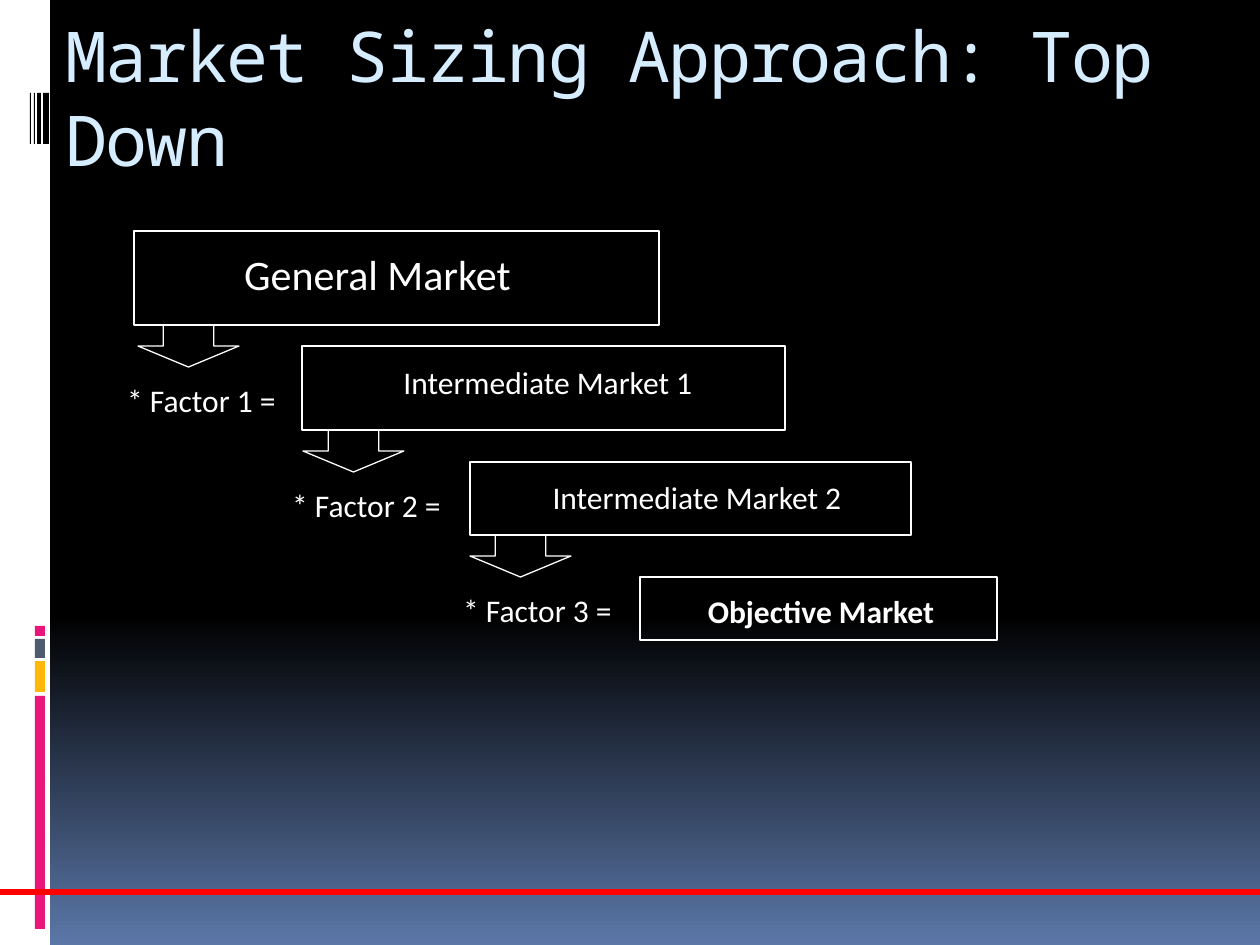
from pptx import Presentation
from pptx.dml.color import RGBColor as RGB
from pptx.enum.shapes import MSO_CONNECTOR as CONN, MSO_SHAPE as SHAPE
from pptx.enum.text import MSO_AUTO_SIZE as FIT, PP_ALIGN as ALIGN
from pptx.oxml.ns import qn
from pptx.util import Pt
from lxml import etree

PX = 914400 / 126
THEME = {
    "white": "FFFFFF", "black": "000000", "dusk": "5B77A8", "title": "D6ECFF",
    "pink": "EA157A", "gold": "FEB80A", "slate": "4E5B6F", "red": "FF0000",
    "head": 40, "large": 24, "body": 18, "mono": "Noto Sans Mono", "sans": "Calibri",
}


def shape(kind, at, fill=None):
    """Add a filled shape, or a white outline when no fill is given."""
    item = slide.shapes.add_shape(kind, *(round(n * PX) for n in at))
    item.shadow.inherit = False
    if fill:
        item.fill.solid()
        item.fill.fore_color.rgb = RGB.from_string(THEME[fill])
        item.line.fill.background()
    else:
        item.fill.background()
        item.line.color.rgb = RGB.from_string(THEME["white"])
        item.line.width = Pt(0.75)


def label(text, at, size="body", face="sans", color="white", bold=False,
          align=ALIGN.CENTER, wrap=False):
    """Add a one-paragraph text box and return its paragraph and run."""
    frame = slide.shapes.add_textbox(*(round(n * PX) for n in at)).text_frame
    frame.word_wrap = wrap
    frame.auto_size = FIT.SHAPE_TO_FIT_TEXT
    para = frame.paragraphs[0]
    para.alignment = align
    run = para.add_run()
    run.text = text
    look = {"name": THEME[face], "size": Pt(THEME[size]), "bold": bold}
    for key, value in look.items():
        setattr(run.font, key, value)
    run.font.color.rgb = RGB.from_string(THEME[color])
    return para, run


deck = Presentation()
deck.slide_width, deck.slide_height = round(1260 * PX), round(945 * PX)
slide = deck.slides.add_slide(deck.slide_layouts[6])

# Background: black, fading to blue over the lower third
back = slide.background.fill
back.gradient()
back.gradient_angle = 270
for stop, (place, color) in zip(back.gradient_stops, [(0.65, "black"), (1, "dusk")]):
    stop.position = place
    stop.color.rgb = RGB.from_string(THEME[color])

# Left margin with its barcode and colour bars
shape(SHAPE.RECTANGLE, (0, 0, 50, 945), "white")
for left, width in [(43, 6), (37, 4), (34, 1), (30, 1)]:
    shape(SHAPE.RECTANGLE, (left, 93, width, 51), "black")
for top, height, color in [(696, 233, "pink"), (661, 31, "gold"),
                           (639, 19, "slate"), (626, 10, "pink")]:
    shape(SHAPE.RECTANGLE, (35, top, 10, height), color)

para, run = label("Market Sizing Approach: Top Down", (53, 6, 1213, 180), "head",
                  "mono", "title", align=ALIGN.LEFT, wrap=True)
para.line_spacing = Pt(48)
run.font._element.set("spc", "-100")

# Market boxes: outline, then caption place, text and type
markets = [
    ((134, 231, 525, 94), (229, 242, 297, 63), "General Market", "large", False),
    ((302, 346, 483, 84), (389, 357, 318, 50), "Intermediate Market 1", "body", False),
    ((470, 462, 441, 73), (537, 472, 320, 50), "Intermediate Market 2", "body", False),
    ((640, 577, 357, 63), (690, 586, 262, 50), "Objective Market", "body", True),
]
for box, spot, text, size, bold in markets:
    shape(SHAPE.RECTANGLE, box)
    label(text, spot, size, bold=bold)

# Each arrow leads down to the factor for the next market
for i, (arrow, left) in enumerate([(138, 113), (303, 278), (470, 449)]):
    shape(SHAPE.DOWN_ARROW, (arrow, 325 + 105 * i, 101, 42))
    label(f"* Factor {i + 1} = ", (left, 375 + 105 * i, 184, 50))

rule = slide.shapes.add_connector(
    CONN.STRAIGHT, *(round(n * PX) for n in (0, 892, 1260, 892)))
rule.line.color.rgb = RGB.from_string(THEME["red"])
rule.line.width = Pt(3)
etree.SubElement(rule._element.spPr, qn("a:effectLst"))

deck.save("out.pptx")
